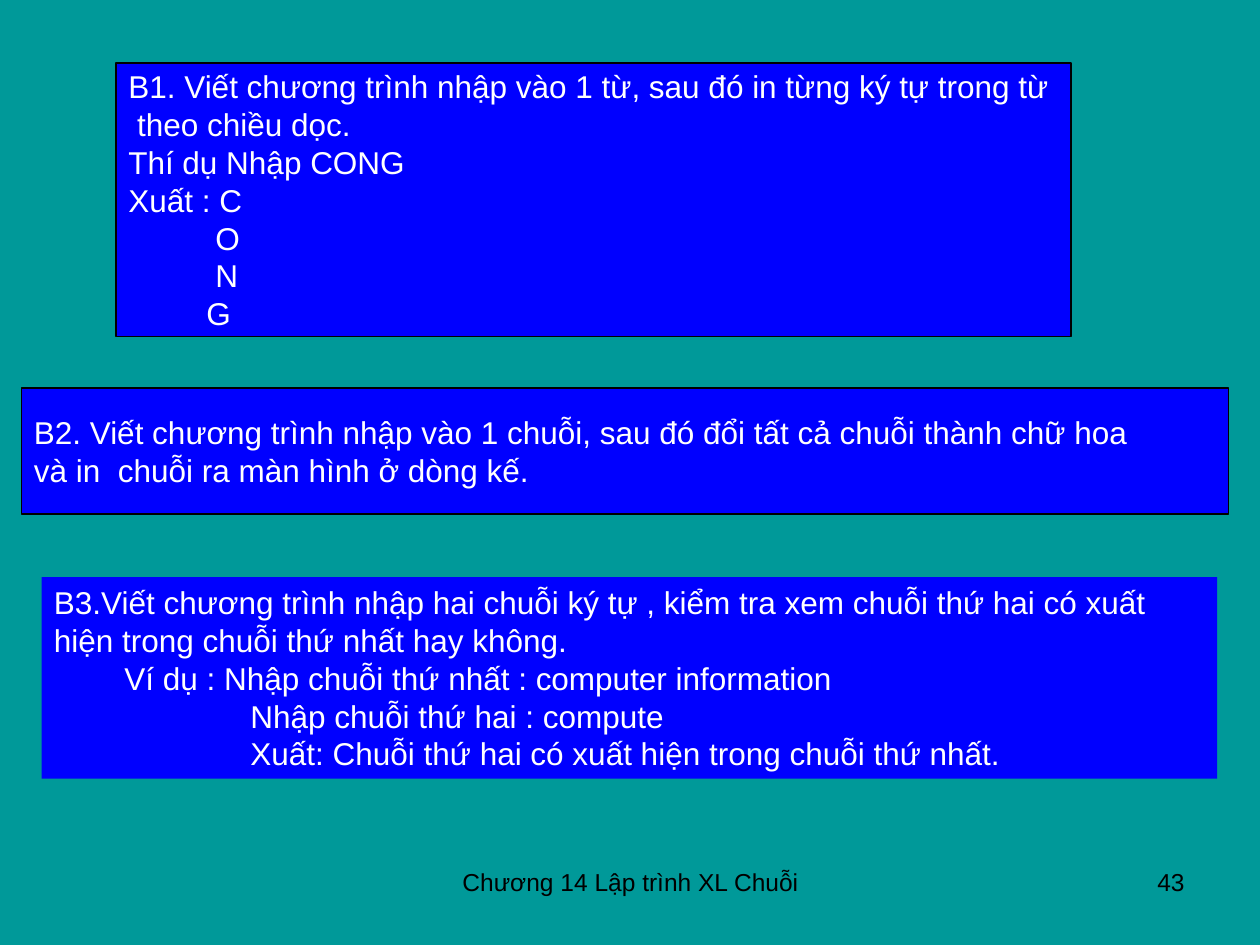
from pptx import Presentation
from pptx.dml.color import RGBColor
from pptx.enum.shapes import MSO_SHAPE
from pptx.enum.text import MSO_ANCHOR, PP_ALIGN
from pptx.util import Inches, Pt

TEAL = RGBColor(0x00, 0x99, 0x99)
BLUE = RGBColor(0x00, 0x00, 0xFF)
WHITE = RGBColor(0xFF, 0xFF, 0xFF)
BLACK = RGBColor(0x00, 0x00, 0x00)

RECTANGLE = MSO_SHAPE.RECTANGLE
TOP, MIDDLE = MSO_ANCHOR.TOP, MSO_ANCHOR.MIDDLE
LEFT, CENTER, RIGHT = PP_ALIGN.LEFT, PP_ALIGN.CENTER, PP_ALIGN.RIGHT

EXERCISE_FONT = {"name": "Arial", "size": Pt(18)}
FOOTER_FONT = {"name": "Arial", "size": Pt(14)}

# Each line is its left indent in inches and its wording.
VERTICAL_WORD = [
    (0, "B1. Viết chương trình nhập vào 1 từ, sau đó in từng ký tự trong từ"),
    (0.07, "theo chiều dọc."),
    (0, "Thí dụ Nhập CONG"),
    (0, "Xuất : C"),
    (0.69, "O"),
    (0.69, "N"),
    (0.62, "G"),
]
UPPERCASE = [
    (0, "B2. Viết chương trình nhập vào 1 chuỗi, sau đó đổi tất cả chuỗi thành chữ hoa"),
    (0, "và in  chuỗi ra màn hình ở dòng kế."),
]
SUBSTRING = [
    (0, "B3.Viết chương trình nhập hai chuỗi ký tự , kiểm tra xem chuỗi thứ hai có xuất "
        "hiện trong chuỗi thứ nhất hay không."),
    (0.56, "Ví dụ : Nhập chuỗi thứ nhất : computer information"),
    (1.56, "Nhập chuỗi thứ hai : compute"),
    (1.56, "Xuất: Chuỗi thứ hai có xuất hiện trong chuỗi thứ nhất."),
]


def write_lines(frame, lines, font_format, color, align=LEFT, anchor=TOP):
    frame.word_wrap = True
    frame.vertical_anchor = anchor
    for index, (indent, text) in enumerate(lines):
        para = frame.add_paragraph() if index else frame.paragraphs[0]
        para.alignment = align
        if indent:
            properties = para._p.get_or_add_pPr()
            properties.set("marL", str(Inches(indent)))
            properties.set("indent", "0")
        span = para.add_run()
        span.text = text
        for name, value in font_format.items():
            setattr(span.font, name, value)
        span.font.color.rgb = color


def add_exercise(page, place, lines, anchor=MIDDLE, outlined=True):
    box = page.shapes.add_shape(RECTANGLE, *map(Inches, place))
    box.shadow.inherit = False
    box.fill.solid()
    box.fill.fore_color.rgb = BLUE
    if outlined:
        box.line.color.rgb = BLACK
        box.line.width = Pt(0.75)
    else:
        box.line.fill.background()
    write_lines(box.text_frame, lines, EXERCISE_FONT, WHITE, anchor=anchor)


def add_footer(page, place, text, align):
    box = page.shapes.add_textbox(*map(Inches, place))
    write_lines(box.text_frame, [(0, text)], FOOTER_FONT, BLACK, align)


def main():
    deck = Presentation()
    deck.slide_width, deck.slide_height = Inches(10), Inches(7.5)
    page = deck.slides.add_slide(deck.slide_layouts[6])
    page.background.fill.solid()
    page.background.fill.fore_color.rgb = TEAL

    add_exercise(page, (0.92, 0.5, 7.58, 2.17), VERTICAL_WORD)
    add_exercise(page, (0.17, 3.08, 9.58, 1), UPPERCASE)
    add_exercise(page, (0.33, 4.58, 9.33, 1.6), SUBSTRING, anchor=TOP, outlined=False)
    add_footer(page, (3.42, 6.83, 3.17, 0.52), "Chương 14 Lập trình XL Chuỗi", CENTER)
    add_footer(page, (7.17, 6.83, 2.33, 0.52), "43", RIGHT)
    deck.save("out.pptx")


if __name__ == "__main__":
    main()
